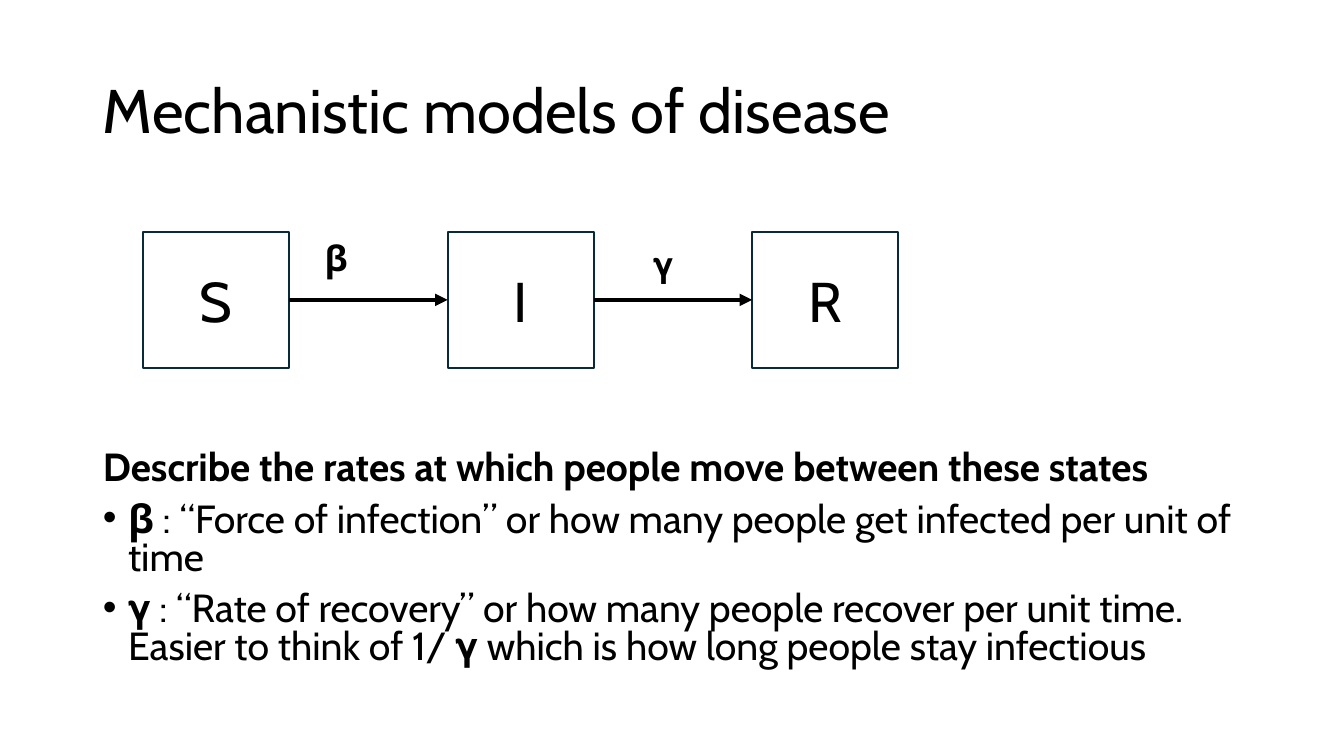
"""Build a slide on the S-I-R disease model with its two rates."""
from lxml import etree
from pptx import Presentation, util as u
from pptx.dml.color import RGBColor
from pptx.enum import shapes, text
from pptx.oxml.ns import qn

HUES = {"ink": "000000", "edge": "092A39"}
LEFT, MID = text.PP_ALIGN.LEFT, text.PP_ALIGN.CENTER
TOP, HALF = text.MSO_ANCHOR.TOP, text.MSO_ANCHOR.MIDDLE


class Deck:
    def __init__(self, font):
        self.font = font
        self.show = Presentation()
        self.show.slide_width = u.Inches(13.33)
        self.show.slide_height = u.Inches(7.5)
        self.slide = self.show.slides.add_slide(self.show.slide_layouts[1])

    def hue(self, name):
        return RGBColor.from_string(HUES[name])

    def put(self, item, form):
        for key, value in form.items():
            setattr(item, key, value)

    def place(self, shape, *spot):
        names = ("left", "top", "width", "height")
        self.put(shape, dict(zip(names, map(u.Inches, spot))))

    def frame(self, shape, anchor, fit=text.MSO_AUTO_SIZE.NONE):
        form = {"word_wrap": True, "auto_size": fit, "vertical_anchor": anchor}
        self.put(shape.text_frame, form)
        return shape.text_frame

    def fill(self, para, runs, size, **form):
        self.put(para, form)
        for words, bold in runs:
            run = para.add_run()
            run.text = words
            self.put(run.font, {"name": self.font, "size": u.Pt(size), "bold": bold})
            run.font.color.rgb = self.hue("ink")

    def title(self, words):
        shape = self.slide.shapes.title
        self.place(shape, 0.92, 0.4, 11.5, 1.45)
        para = self.frame(shape, HALF).paragraphs[0]
        self.fill(para, [(words, False)], 44, alignment=LEFT, line_spacing=0.9)

    def bullet(self, para, char):
        props = para._p.get_or_add_pPr()
        step = u.Inches(0.25) if char else 0
        props.set("marL", str(step))
        props.set("indent", str(-step))
        if char:
            etree.SubElement(props, qn("a:buChar"), char=char)
        else:
            etree.SubElement(props, qn("a:buNone"))

    def body(self, rows):
        shape = self.slide.placeholders[1]
        self.place(shape, 0.92, 4.43, 11.5, 2.32)
        frame = self.frame(shape, TOP)
        for i, (char, runs) in enumerate(rows):
            para = frame.add_paragraph() if i else frame.paragraphs[0]
            self.fill(para, runs, 28, alignment=LEFT, line_spacing=0.8,
                      space_before=u.Pt(10))
            self.bullet(para, char)

    def box(self, words, left):
        spot = map(u.Inches, (left, 2.3, 1.45, 1.35))
        shape = self.slide.shapes.add_shape(shapes.MSO_SHAPE.RECTANGLE, *spot)
        shape.shadow.inherit = False
        shape.fill.background()
        shape.line.color.rgb = self.hue("edge")
        shape.line.width = u.Pt(1.5)
        para = self.frame(shape, HALF).paragraphs[0]
        self.fill(para, [(words, False)], 40, alignment=MID)
        return shape

    def arrow(self, start, end):
        link = self.slide.shapes.add_connector(shapes.MSO_CONNECTOR.STRAIGHT, 0, 0, 0, 0)
        link.begin_connect(start, 3)
        link.end_connect(end, 1)
        link.line.color.rgb = self.hue("ink")
        link.line.width = u.Pt(3)
        props = link._element.spPr
        etree.SubElement(props.find(qn("a:ln")), qn("a:tailEnd"), type="triangle")
        etree.SubElement(props, qn("a:effectLst"))

    def label(self, words, *spot):
        shape = self.slide.shapes.add_textbox(*map(u.Inches, spot))
        frame = self.frame(shape, TOP, text.MSO_AUTO_SIZE.SHAPE_TO_FIT_TEXT)
        self.fill(frame.paragraphs[0], [(words, True)], 25)


def main():
    deck = Deck("Cabin")
    deck.title("Mechanistic models of disease")
    deck.body([
        ("", [("Describe the rates at which people move between these states", True)]),
        ("•", [("β ", True),
               (": “Force of infection” or how many people get infected per unit of time",
                False)]),
        ("•", [("𝛄 : “Rate of recovery” or how many people recover per unit time. "
                "Easier to think of 1/ 𝛄 which is how long people stay infectious", False)]),
    ])
    boxes = [deck.box(name, 1.42 + 3.02 * i) for i, name in enumerate("SIR")]
    for start, end in zip(boxes, boxes[1:]):
        deck.arrow(start, end)
    deck.label("β", 3.12, 2.3, 0.41, 0.52)
    deck.label("𝛄", 6.38, 2.36, 0.82, 0.52)
    deck.show.save("out.pptx")


if __name__ == "__main__":
    main()
